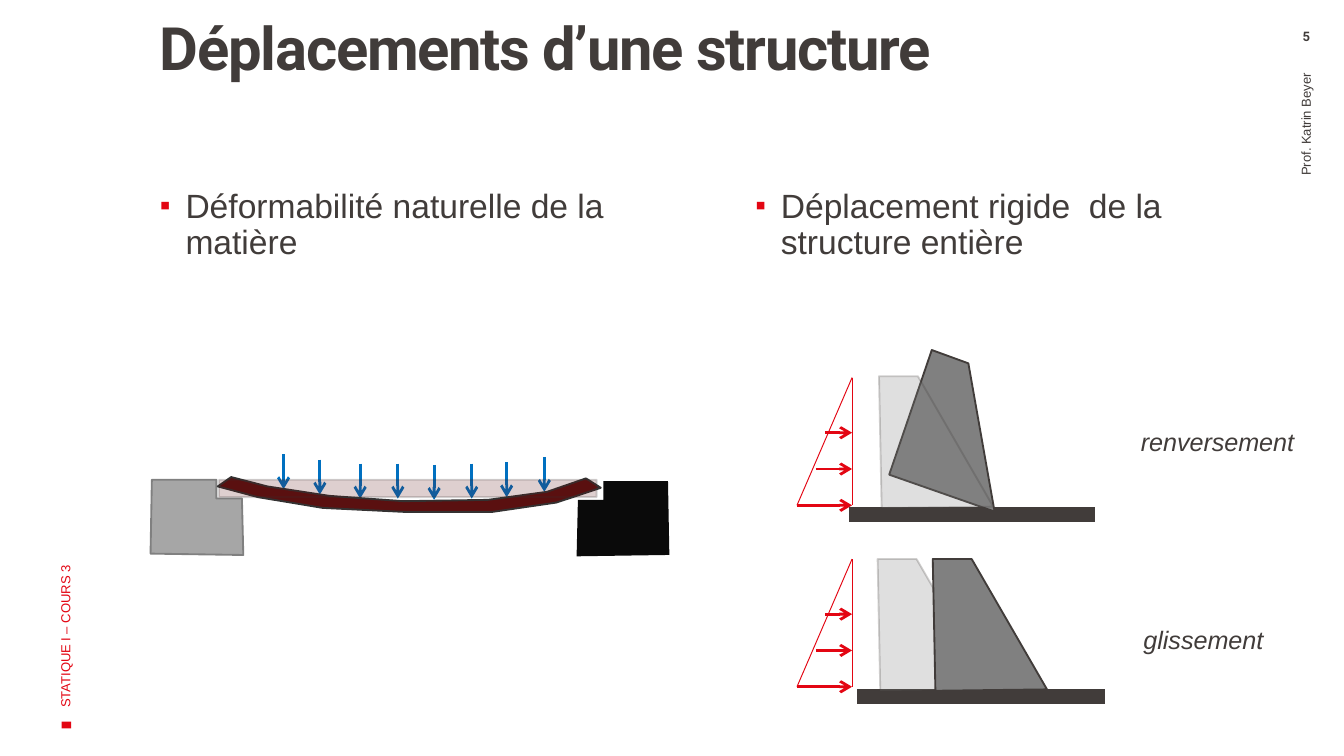
from lxml import etree
from pptx import Presentation, util as u
from pptx.dml.color import RGBColor
from pptx.enum import shapes, text
from pptx.oxml.ns import qn

COLORS = {
    "ink": "413C3A", "red": "E30613", "blue": "0070C0", "beam": "5A1010",
    "edge": "343131", "gray": "808080", "light": "A6A6A6", "black": "0A0A0A",
}

TITLE = "Déplacements d’une structure"
COLUMNS = [
    (0.99, "Déformabilité naturelle de la matière"),
    (5.42, "Déplacement rigide  de la structure entière"),
]
CAPTIONS = [(8.39, 3.12, "renversement"), (8.41, 4.6, "glissement")]

SUPPORT = [(1.61, 3.57), (1.61, 3.71), (1.8, 3.71), (1.81, 4.13), (1.12, 4.12), (1.13, 3.57)]
SUPPORT_MIRROR = 6.1
DEFORMED_BEAM = [
    (1.72, 3.55), (1.62, 3.62), (1.92, 3.7), (2.4, 3.78), (3.02, 3.81), (3.66, 3.81),
    (4.14, 3.74), (4.47, 3.63), (4.36, 3.56), (4.07, 3.66), (3.63, 3.72), (3, 3.73),
    (2.45, 3.69), (1.99, 3.62),
]
BEAM_LOADS = [
    (2.11, 3.38), (2.38, 3.42), (2.68, 3.45), (2.96, 3.45),
    (3.23, 3.46), (3.51, 3.45), (3.77, 3.44), (4.05, 3.4),
]
LOAD_LENGTH = 0.26

WALL = [(0, 0), (0.02, 0.98), (0.85, 0.97), (0.29, 0)]
WALL_CASES = [
    {"moved": (6.74, 2.72), "tilt": 20, "start": (6.54, 2.8), "ghost_on_top": True,
     "ground": (6.32, 8.15, 3.83), "pressure_top": 2.81},
    {"moved": (6.94, 4.16), "tilt": 0, "start": (6.53, 4.16), "ghost_on_top": False,
     "ground": (6.38, 8.22, 5.18), "pressure_top": 4.16},
]
PRESSURE = {"x": 6.34, "width": 0.41, "height": 0.95,
            "arrows": [(0.95, 0.41), (0.68, 0.27), (0.41, 0.2)]}

deck = Presentation()
deck.slide_width = u.Inches(10)
deck.slide_height = deck.slide_width * 9 // 16
page = deck.slides.add_slide(deck.slide_layouts[6])


def rgb(name):
    return RGBColor.from_string(COLORS[name])


def add_alpha(parent, percent):
    for color in parent.iter(qn("a:srgbClr")):
        etree.SubElement(color, qn("a:alpha"), val=str(percent * 1000))


def paint(shape, fill, line=None, fill_alpha=None, line_alpha=None):
    shape.shadow.inherit = False
    shape.fill.solid()
    shape.fill.fore_color.rgb = rgb(fill)
    if fill_alpha:
        add_alpha(shape._element.spPr.find(qn("a:solidFill")), fill_alpha)
    if line is None:
        shape.line.fill.background()
        return
    shape.line.color.rgb = rgb(line)
    shape.line.width = u.Pt(1)
    if line_alpha:
        add_alpha(shape.line._get_or_add_ln(), line_alpha)


def add_rectangle(left, top, width, height, **style):
    shape = page.shapes.add_shape(
        shapes.MSO_SHAPE.RECTANGLE, *map(u.Inches, (left, top, width, height)))
    paint(shape, **style)


def add_outline(points, origin=(0, 0), tilt=0, **style):
    vertices = [(u.Inches(origin[0] + x), u.Inches(origin[1] + y)) for x, y in points]
    builder = page.shapes.build_freeform(*vertices[0])
    builder.add_line_segments(vertices[1:], close=True)
    shape = builder.convert_to_shape()
    shape.rotation = tilt
    paint(shape, **style)


def add_line(start, end, color, width, arrow=False):
    line = page.shapes.add_connector(
        shapes.MSO_CONNECTOR.STRAIGHT, *map(u.Inches, (*start, *end)))
    line.line.color.rgb = rgb(color)
    line.line.width = u.Pt(width)
    if arrow:
        etree.SubElement(line.line._get_or_add_ln(), qn("a:tailEnd"), type="arrow")
    etree.SubElement(line._element.spPr, qn("a:effectLst"))


def add_text(place, words, size, color="ink", font="Arial", bold=False, italic=False,
             insets=(0.1, 0.05, 0.1, 0.05), align=text.PP_ALIGN.LEFT,
             anchor=text.MSO_ANCHOR.TOP, spacing=None, rotation=0):
    box = page.shapes.add_textbox(*map(u.Inches, place))
    box.rotation = rotation
    frame = box.text_frame
    frame.word_wrap = True
    frame.vertical_anchor = anchor
    frame.margin_left, frame.margin_top, frame.margin_right, frame.margin_bottom = map(
        u.Inches, insets)
    frame.text = words
    para = frame.paragraphs[0]
    para.alignment = align
    if spacing:
        para.line_spacing = spacing
    span = para.runs[0]
    span.font.name, span.font.size = font, u.Pt(size)
    span.font.bold, span.font.italic = bold, italic
    span.font.color.rgb = rgb(color)
    return para


def add_bullet(para):
    properties = para._p.get_or_add_pPr()
    properties.set("marL", str(u.Inches(0.19)))
    properties.set("indent", str(u.Inches(-0.19)))
    color = etree.SubElement(properties, qn("a:buClr"))
    etree.SubElement(color, qn("a:srgbClr"), val=COLORS["red"])
    etree.SubElement(properties, qn("a:buSzPct"), val="90000")
    etree.SubElement(properties, qn("a:buFont"), typeface="Arial")
    etree.SubElement(properties, qn("a:buChar"), char="▪")


def add_pressure(top):
    right, bottom = PRESSURE["x"], top + PRESSURE["height"]
    add_line((right, top), (right, bottom), "red", 0.5)
    add_line((right, top), (right - PRESSURE["width"], bottom), "red", 0.5)
    for drop, length in PRESSURE["arrows"]:
        add_line((right - length, top + drop), (right, top + drop), "red", 1.5, arrow=True)


def add_wall_case(case):
    ghost = dict(origin=case["start"], fill="gray", line="ink", fill_alpha=25, line_alpha=23)
    moved = dict(origin=case["moved"], tilt=case["tilt"], fill="gray", line="ink")
    left, right, level = case["ground"]
    add_line((left, level), (right, level), "ink", 8)
    for style in (moved, ghost) if case["ghost_on_top"] else (ghost, moved):
        add_outline(WALL, **style)
    add_pressure(case["pressure_top"])


add_rectangle(0.46, 5.37, 0.07, 0.05, fill="red")
for left, words in COLUMNS:
    add_bullet(add_text((left, 1.36, 4.02, 3.57), words, 18,
                        insets=(0.2, 0.05, 0.1, 0.05), spacing=0.9))
title = add_text((0.99, 0.14, 7.67, 1.17), TITLE, 32, font="Roboto", bold=True,
                 insets=(0.2, 0, 0.08, 0.05), spacing=0.9)
title.runs[0]._r.get_or_add_rPr().set("spc", "-70")
add_text((-1.34, 3.04, 3.65, 1), "STATIQUE I – COURS 3", 7, color="red",
         anchor=text.MSO_ANCHOR.MIDDLE, rotation=270)
add_text((7.78, 2.05, 3.87, 0.56), "Prof. Katrin Beyer", 7, insets=(0.1, 0.05, 0.15, 0.05),
         align=text.PP_ALIGN.RIGHT, anchor=text.MSO_ANCHOR.MIDDLE, rotation=270)
add_text((9.44, 0.21, 0.56, 0.18), "5", 7, font="Roboto", bold=True,
         insets=(0.1, 0, 0.1, 0), align=text.PP_ALIGN.CENTER)

add_outline(SUPPORT, fill="light", line="gray")
add_outline([(SUPPORT_MIRROR - x, y) for x, y in SUPPORT], origin=(0, 0.01), fill="black")
for x, y in BEAM_LOADS:
    add_line((x, y), (x, y + LOAD_LENGTH), "blue", 1.5, arrow=True)
add_outline(DEFORMED_BEAM, fill="beam", line="edge")
add_rectangle(1.63, 3.57, 2.81, 0.13, fill="beam", line="edge", fill_alpha=20, line_alpha=20)

for case in WALL_CASES:
    add_wall_case(case)
for left, top, words in CAPTIONS:
    add_text((left, top, 1.4, 0.33), words, 13.5, italic=True)

deck.save("out.pptx")
